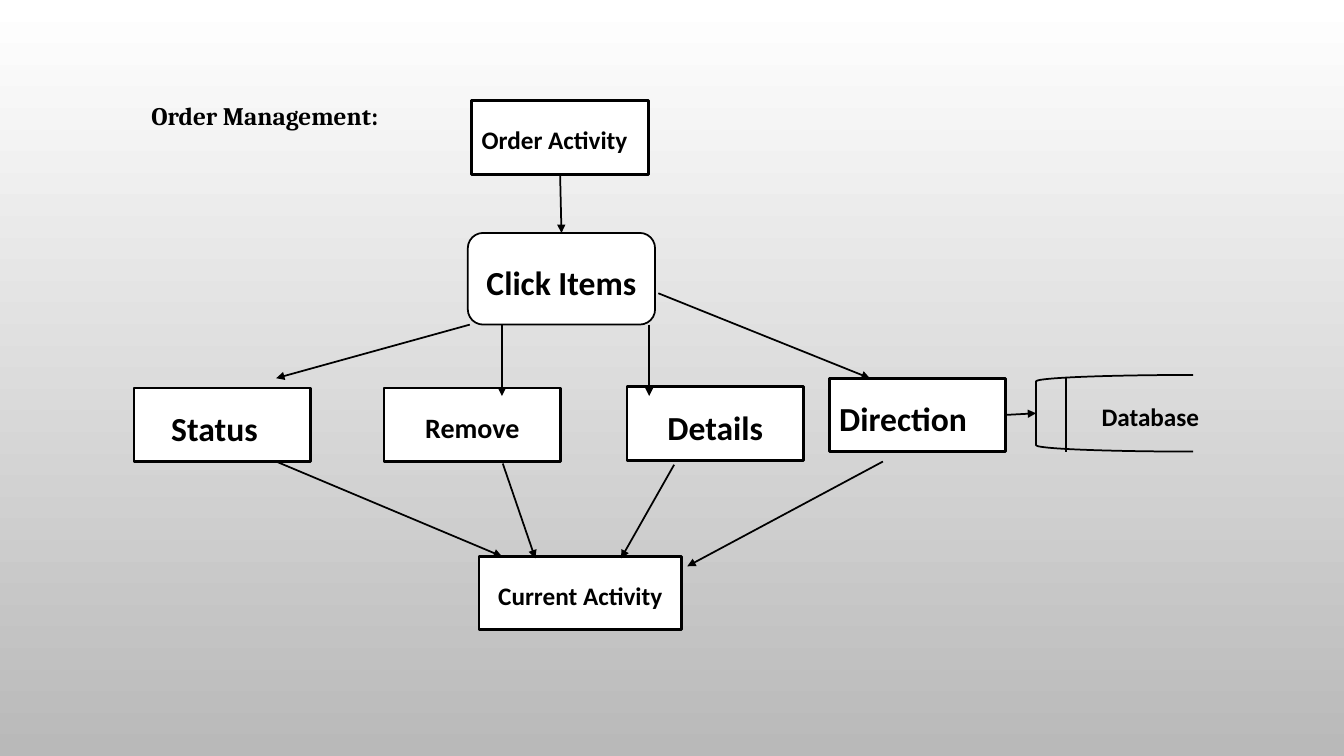
import pptx
import pptx.util
import pptx.dml.color
import pptx.enum.shapes
import pptx.enum.text
import pptx.oxml
import pptx.oxml.ns

Cm, Pt = pptx.util.Cm, pptx.util.Pt
KIND = pptx.enum.shapes.MSO_SHAPE
ALIGN = pptx.enum.text.PP_ALIGN
ANCHOR = pptx.enum.text.MSO_ANCHOR

BOX_W, BOX_H = 4.45, 1.85
TOP, LEFT, BOTTOM, RIGHT = range(4)


def color(code):
    return pptx.dml.color.RGBColor.from_string(code)


def node(tag, attrs=""):
    """Make an empty DrawingML element."""
    names = pptx.oxml.ns.nsdecls("a")
    return pptx.oxml.parse_xml(f"<a:{tag} {names} {attrs}/>")


class Chart:
    """Draws flow chart parts on one slide in one style."""
    ink, paper, shade = "000000", "FFFFFF", "B9B9B9"
    font, serif = "Calibri", "Cambria"
    thin, thick = 1.25, 2

    def __init__(self, slide):
        self.slide = slide

    def backdrop(self):
        fill = self.slide.background.fill
        fill.gradient()
        fill.gradient_angle = 270
        for stop, code in zip(fill.gradient_stops, (self.paper, self.shade)):
            stop.color.rgb = color(code)

    def letter(self, frame, text, size, font=None, align=ALIGN.LEFT):
        """Set the text of a frame and format it."""
        frame.text = text
        para = frame.paragraphs[0]
        para.alignment = align
        for run in para.runs:
            run.font.name = font or self.font
            run.font.size = Pt(size)
            run.font.bold = True
            run.font.color.rgb = color(self.ink)
        return para

    def title(self, text, x, y, w, h):
        shape = self.slide.shapes.title
        shape.left, shape.top, shape.width, shape.height = map(Cm, (x, y, w, h))
        frame = shape.text_frame
        self.letter(frame, text, 18, self.serif).line_spacing = 1
        frame.word_wrap = False
        frame.auto_size = pptx.enum.text.MSO_AUTO_SIZE.NONE
        frame.vertical_anchor = ANCHOR.TOP

    def label(self, text, x, y, w, h):
        frame = self.slide.shapes.add_textbox(*map(Cm, (x, y, w, h))).text_frame
        frame.word_wrap = True
        self.letter(frame, text, 18)

    def outline(self, kind, x, y, w, h, width):
        shape = self.slide.shapes.add_shape(kind, *map(Cm, (x, y, w, h)))
        shape.shadow.inherit = False
        shape.fill.background()
        shape.line.color.rgb = color(self.ink)
        shape.line.width = Pt(width)
        return shape

    def box(self, text, x, y, w=BOX_W, h=BOX_H, size=24, align=ALIGN.CENTER,
            kind=KIND.RECTANGLE, width=thick, inset=0.25):
        shape = self.outline(kind, x, y, w, h, width)
        shape.fill.solid()
        shape.fill.fore_color.rgb = color(self.paper)
        frame = shape.text_frame
        frame.word_wrap = True
        frame.vertical_anchor = ANCHOR.MIDDLE
        frame.margin_right = Cm(inset)
        para = self.letter(frame, text, size, align=align)
        para.line_spacing = 1.15
        para.space_after = Pt(10)
        return shape

    def line(self, x1, y1, x2, y2, arrow=True):
        link = self.slide.shapes.add_connector(
            pptx.enum.shapes.MSO_CONNECTOR.STRAIGHT, *map(Cm, (x1, y1, x2, y2)))
        link.line.color.rgb = color(self.ink)
        link.line.width = Pt(self.thin)
        props = link.element.spPr
        if arrow:
            props.find(pptx.oxml.ns.qn("a:ln")).append(
                node("tailEnd", 'type="triangle"'))
        props.append(node("effectLst"))
        return link

    def join(self, start, side, end, goal):
        """Arrow from one side of a shape to one side of another."""
        link = self.line(0, 0, 1, 1)
        link.begin_connect(start, side)
        link.end_connect(end, goal)


def main():
    deck = pptx.Presentation()
    deck.slide_width, deck.slide_height = Cm(33.87), Cm(19.05)
    chart = Chart(deck.slides.add_slide(deck.slide_layouts[5]))
    chart.backdrop()
    chart.title("Order Management:", 3.56, 2.39, 6.4, 1.02)

    order = chart.box("Order Activity", 11.89, 2.54, size=18, align=ALIGN.LEFT)
    click = chart.box("Click Items", 11.79, 5.87, 4.72, 2.31,
                      kind=KIND.ROUNDED_RECTANGLE, width=chart.thin)
    chart.box("Status", 3.38, 9.78, inset=0.65)
    chart.box("Remove", 9.68, 9.78, size=20)
    chart.box("Details", 15.8, 9.75)
    route = chart.box("Direction", 20.9, 9.53, align=ALIGN.LEFT)
    chart.box("Current Activity", 12.07, 14.02, w=5.11, size=18)

    store = chart.outline(KIND.LEFT_BRACKET, 26.11, 9.45, 3.96, 1.93, chart.thin)
    chart.line(26.87, 9.53, 26.87, 11.38, arrow=False)
    chart.label("Database", 27.51, 9.98, 3.81, 1.02)

    chart.join(order, BOTTOM, click, TOP)
    chart.join(route, RIGHT, store, LEFT)
    for ends in (
        # from Click Items to the four choices
        (11.84, 8.18, 6.96, 9.53),
        (12.65, 8.18, 12.65, 9.98),
        (16.36, 8.18, 16.36, 9.98),
        (16.59, 7.39, 21.92, 9.53),
        # from the choices to Current Activity
        (6.96, 11.63, 12.65, 14.02),
        (12.67, 11.68, 13.49, 14.07),
        (16.99, 11.71, 15.65, 14.07),
        (22.25, 11.63, 17.32, 14.27),
    ):
        chart.line(*ends)

    deck.save("out.pptx")


if __name__ == "__main__":
    main()
